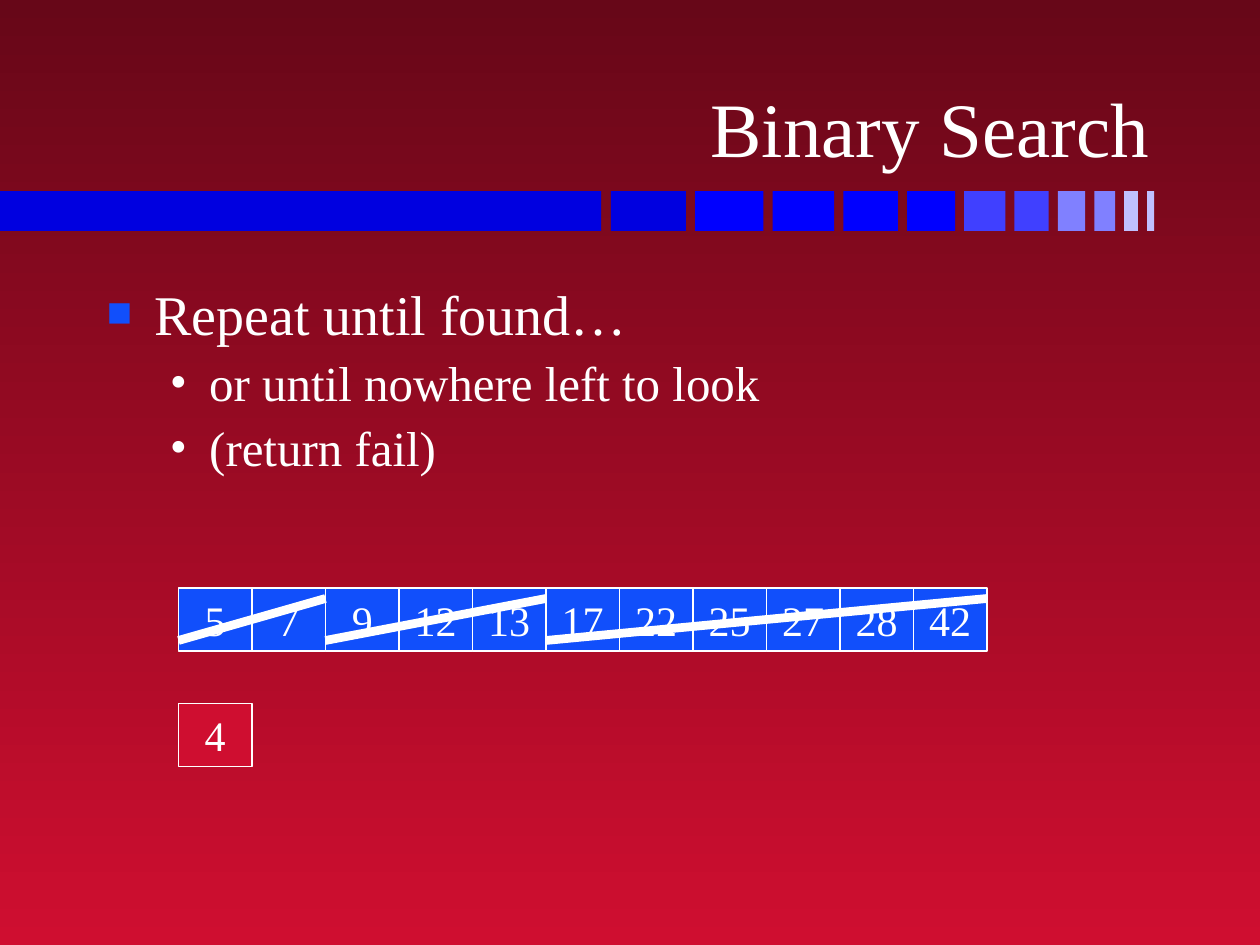
from lxml import etree
from pptx import Presentation
from pptx.dml.color import RGBColor
from pptx.enum.shapes import MSO_CONNECTOR, MSO_SHAPE
from pptx.enum.text import MSO_ANCHOR, PP_ALIGN
from pptx.oxml.ns import qn
from pptx.util import Pt

STRAIGHT = MSO_CONNECTOR.STRAIGHT
RECTANGLE = MSO_SHAPE.RECTANGLE
TOP, MIDDLE, BOTTOM = MSO_ANCHOR.TOP, MSO_ANCHOR.MIDDLE, MSO_ANCHOR.BOTTOM
LEFT, CENTER, RIGHT = PP_ALIGN.LEFT, PP_ALIGN.CENTER, PP_ALIGN.RIGHT

WHITE, BLUE, RED, DARK_RED = "FFFFFF", "114FFB", "CF0E30", "670718"
BAR_COLORS = ["0000E0"] + ["0000FF"] * 4 + ["4040FF"] * 2 + ["8080FF"] * 2 + ["C0C0FF"] * 2
VALUES = [5, 7, 9, 12, 13, 17, 22, 25, 27, 28, 42]
TARGET = 4
DISCARDED = [(5, 11), (2, 5), (0, 2)]
ARRAY_LEFT, ARRAY_TOP, CELL_WIDTH, CELL_HEIGHT = 102, 336, 42, 36


def color(value):
    """Turn a hex string into a colour."""
    return RGBColor.from_string(value)


def write(frame, text, size=24, align=LEFT, before=0, margin=0, indent=0,
          bullet=None, bullet_color=WHITE, bullet_size=100):
    """Add one formatted paragraph to a text frame."""
    para = frame.paragraphs[0] if not frame.text else frame.add_paragraph()
    para.alignment = align
    para.space_before = Pt(before)
    span = para.add_run()
    span.text = text
    span.font.name = "Times New Roman"
    span.font.size = Pt(size)
    span.font.color.rgb = color(WHITE)
    if bullet:
        properties = para._p.get_or_add_pPr()
        properties.set("marL", str(Pt(margin)))
        properties.set("indent", str(Pt(indent)))
        tint = etree.SubElement(properties, qn("a:buClr"))
        etree.SubElement(tint, qn("a:srgbClr"), val=bullet_color)
        etree.SubElement(properties, qn("a:buSzPct"), val=str(bullet_size * 1000))
        etree.SubElement(properties, qn("a:buFont"), typeface="Times New Roman")
        etree.SubElement(properties, qn("a:buChar"), char=bullet)


class Painter:
    """Hold the style and the current slide."""

    def __init__(self, slide):
        """Keep the slide and paint its background gradient."""
        self.shapes = slide.shapes
        fill = slide.background.fill
        fill.gradient()
        fill.gradient_angle = 270
        for stop, shade in zip(fill.gradient_stops, (DARK_RED, RED)):
            stop.color.rgb = color(shade)

    def bar(self, left, top, width, height, fill):
        """Draw a plain rectangle without an outline."""
        shape = self.shapes.add_shape(RECTANGLE, Pt(left), Pt(top), Pt(width), Pt(height))
        shape.shadow.inherit = False
        shape.fill.solid()
        shape.fill.fore_color.rgb = color(fill)
        shape.line.fill.background()
        return shape

    def cell(self, left, top, value, fill):
        """Draw an outlined array cell holding a number."""
        shape = self.bar(left, top, CELL_WIDTH, CELL_HEIGHT, fill)
        shape.line.color.rgb = color(WHITE)
        shape.line.width = Pt(1)
        frame = shape.text_frame
        frame.word_wrap = False
        frame.vertical_anchor = MIDDLE
        write(frame, str(value), align=CENTER)

    def text_box(self, left, top, width, height, anchor=TOP):
        """Add a wrapping text box and return its frame."""
        box = self.shapes.add_textbox(Pt(left), Pt(top), Pt(width), Pt(height))
        frame = box.text_frame
        frame.word_wrap = True
        frame.vertical_anchor = anchor
        return frame

    def strike(self, start, end):
        """Cross out the cells from start up to end."""
        left, right = (ARRAY_LEFT + CELL_WIDTH * index for index in (start, end))
        line = self.shapes.add_connector(
            STRAIGHT, Pt(left), Pt(ARRAY_TOP + 30), Pt(right), Pt(ARRAY_TOP + 6))
        line.line.color.rgb = color(WHITE)
        line.line.width = Pt(5)
        etree.SubElement(line._element.spPr, qn("a:effectLst"))


def main():
    """Build and save the deck."""
    deck = Presentation()
    deck.slide_width, deck.slide_height = Pt(720), Pt(540)
    page = Painter(deck.slides.add_slide(deck.slide_layouts[6]))

    bar_top, bar_height, gap = 109.2, 22.8, 5.2
    page.bar(0, bar_top, 343.5, bar_height, BAR_COLORS[0])
    left, width = 349, 43
    for fill in BAR_COLORS:
        page.bar(left, bar_top, width, bar_height, fill)
        left += width + gap
        width -= 3.9

    title = page.text_box(53.3, 13.7, 610.5, 88.5, anchor=BOTTOM)
    write(title, "Binary Search", size=44, align=RIGHT)

    body = page.text_box(54, 156, 612, 324)
    write(body, "Repeat until found…", size=32, before=8, margin=27, indent=-27,
          bullet="■", bullet_color=BLUE, bullet_size=75)
    for text in ("or until nowhere left to look", "(return fail)"):
        write(body, text, size=28, before=3.5, margin=58.5, indent=-22.5, bullet="•")

    for index, value in enumerate(VALUES):
        page.cell(ARRAY_LEFT + CELL_WIDTH * index, ARRAY_TOP, value, BLUE)
    page.cell(ARRAY_LEFT, ARRAY_TOP + 66, TARGET, RED)
    for start, end in DISCARDED:
        page.strike(start, end)

    deck.save("out.pptx")


if __name__ == "__main__":
    main()
